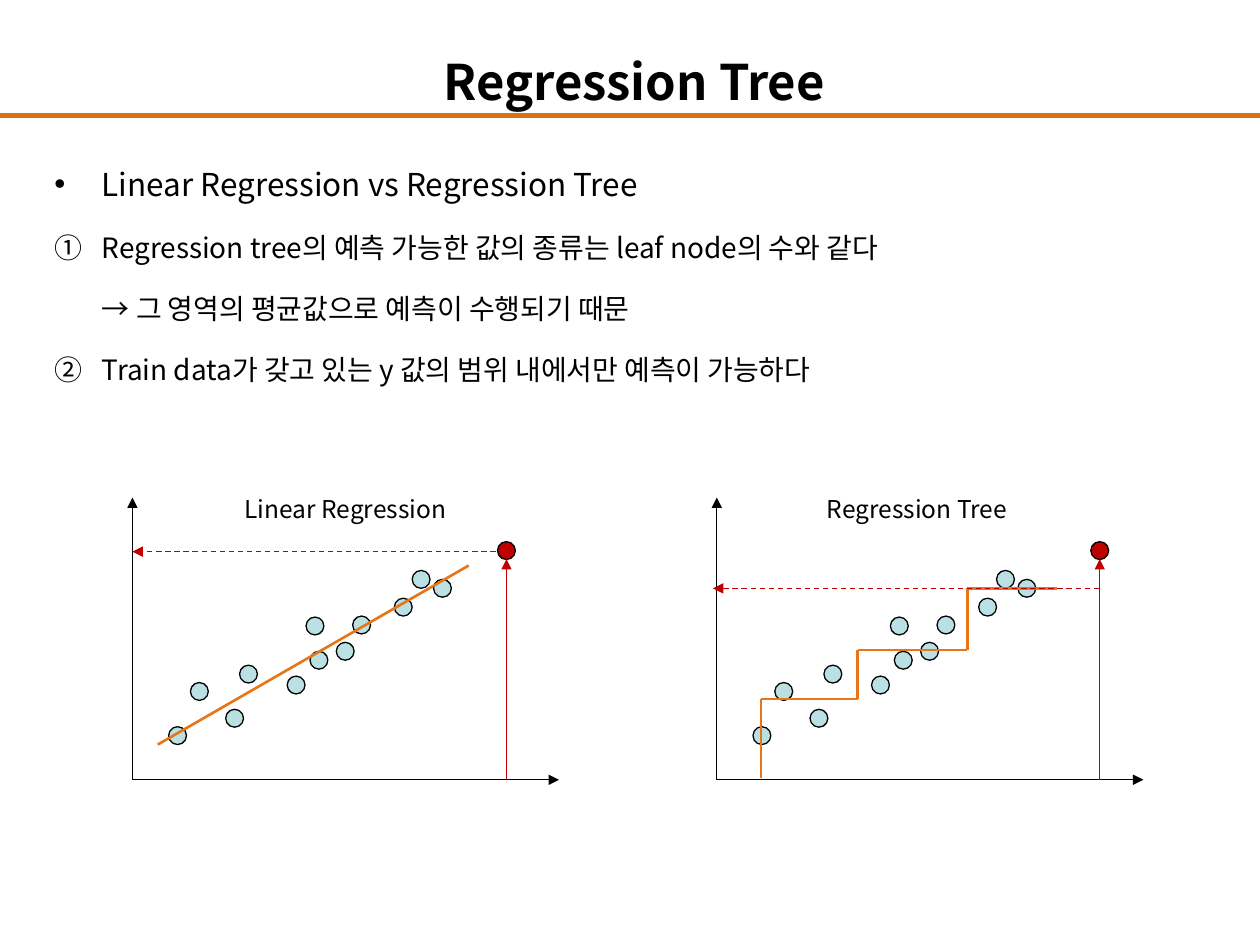
from lxml import etree
from pptx import Presentation
from pptx.dml.color import RGBColor
from pptx.enum.dml import MSO_LINE
from pptx.enum.shapes import MSO_CONNECTOR, MSO_SHAPE
from pptx.enum.text import MSO_ANCHOR, MSO_AUTO_SIZE, PP_ALIGN
from pptx.oxml.ns import qn
from pptx.util import Cm, Pt

STRAIGHT = MSO_CONNECTOR.STRAIGHT
OVAL = MSO_SHAPE.OVAL
DASH = MSO_LINE.DASH
MIDDLE, TOP = MSO_ANCHOR.MIDDLE, MSO_ANCHOR.TOP
CENTER, LEFT = PP_ALIGN.CENTER, PP_ALIGN.LEFT
NO_AUTOFIT = MSO_AUTO_SIZE.NONE

FONT = "Noto Sans CJK KR"
COLORS = {
    "text": "000000",
    "rule": "DC7016",
    "model": "E87618",
    "sample": "BBE0E3",
    "query": "C00000",
}

TITLE = "Regression Tree"
BULLET = ("buChar", {"char": "•"})
NUMBER = ("buAutoNum", {"type": "circleNumDbPlain"})
POINTS = [
    (BULLET, 18, ["Linear Regression vs Regression Tree"]),
    (NUMBER, 16, ["Regression tree의 예측 가능한 값의 종류는 leaf node의 수와 같다",
                  "→ 그 영역의 평균값으로 예측이 수행되기 때문"]),
    (NUMBER, 16, ["Train data가 갖고 있는 y 값의 범위 내에서만 예측이 가능하다"]),
]

SAMPLES = [
    (0.91, 0.89), (2.06, 1.24), (2.34, 2.13), (3.3, 1.91), (3.76, 2.41), (4.29, 2.59),
    (3.68, 3.1), (4.62, 3.12), (5.46, 3.48), (5.82, 4.04), (6.25, 3.86), (1.35, 1.78),
]
PLOTS = [
    {
        "label": "Linear Regression", "label_left": 1.63, "origin": 2.67,
        "model": [(0.51, 0.71), (6.78, 4.32)],
        "query": (7.54, 4.62), "prediction": [(7.32, 4.6), (0, 4.6)],
    },
    {
        "label": "Regression Tree", "label_left": 1.37, "origin": 14.45,
        "model": [(0.89, 0.03), (0.89, 1.63), (2.84, 1.63), (2.84, 2.62),
                  (5.05, 2.62), (5.05, 3.86), (6.86, 3.86)],
        "query": (7.72, 4.62), "prediction": [(7.7, 3.86), (-0.08, 3.86)],
    },
]
BASELINE = 15.72
AXIS_WIDTH, AXIS_HEIGHT = 8.6, 5.69
DOT = 0.36
QUERY_ARROW_TOP = 4.45


def rgb(name):
    return RGBColor.from_string(COLORS[name])


def add_run(para, text, size, bold=False):
    span = para.add_run()
    span.text = text
    span.font.name = FONT
    span.font.size = Pt(size)
    span.font.bold = bold
    span.font.color.rgb = rgb("text")
    etree.SubElement(span.font._element, qn("a:ea"), typeface=FONT)


def place(box, left, top, width, height, anchor):
    box.left, box.top, box.width, box.height = Cm(left), Cm(top), Cm(width), Cm(height)
    frame = box.text_frame
    frame.word_wrap = True
    frame.auto_size = NO_AUTOFIT
    frame.vertical_anchor = anchor
    return frame


def add_line(slide, start, end, color, width=0.75, arrow=False, dash=None):
    line = slide.shapes.add_connector(STRAIGHT, *[Cm(value) for value in (*start, *end)])
    line.line.color.rgb = rgb(color)
    line.line.width = Pt(width)
    if dash:
        line.line.dash_style = dash
    if arrow:
        etree.SubElement(line.line._get_or_add_ln(), qn("a:tailEnd"), type="triangle")
    etree.SubElement(line._element.spPr, qn("a:effectLst"))


def add_dot(slide, center, color):
    x, y = center
    dot = slide.shapes.add_shape(OVAL, Cm(x - DOT / 2), Cm(y - DOT / 2), Cm(DOT), Cm(DOT))
    dot.shadow.inherit = False
    dot.fill.solid()
    dot.fill.fore_color.rgb = rgb(color)
    dot.line.color.rgb = rgb("text")
    dot.line.width = Pt(0.75)


def add_title(slide):
    para = place(slide.shapes.title, 1.09, 0.91, 23.39, 1.45, MIDDLE).paragraphs[0]
    para.alignment = CENTER
    add_run(para, TITLE, 28, bold=True)


def add_points(slide):
    frame = place(slide.placeholders[1], 0.84, 2.72, 23.39, 5.23, TOP)
    for index, ((tag, settings), size, lines) in enumerate(POINTS):
        para = frame.add_paragraph() if index else frame.paragraphs[0]
        para.alignment = LEFT
        para.line_spacing = Pt(35)
        para.space_before = Pt(0)
        properties = para._p.get_or_add_pPr()
        properties.set("marL", str(Cm(0.96)))
        properties.set("indent", str(-Cm(0.96)))
        etree.SubElement(properties, qn("a:" + tag), settings)
        for number, text in enumerate(lines):
            if number:
                para.add_line_break()
            add_run(para, text, size)


def add_plot(slide, plot):
    def at(point):
        return plot["origin"] + point[0], BASELINE - point[1]

    for tip in ((AXIS_WIDTH, 0), (0, AXIS_HEIGHT)):
        add_line(slide, at((0, 0)), at(tip), "text", arrow=True)
    for sample in SAMPLES:
        add_dot(slide, at(sample), "sample")
    for start, end in zip(plot["model"], plot["model"][1:]):
        add_line(slide, at(start), at(end), "model", 1.5)

    box = slide.shapes.add_textbox(0, 0, 0, 0)
    frame = place(box, plot["origin"] + plot["label_left"], 9.83, 5.33, 0.86, MIDDLE)
    frame.paragraphs[0].alignment = CENTER
    add_run(frame.paragraphs[0], plot["label"], 14)

    query_x = plot["query"][0]
    add_dot(slide, at(plot["query"]), "query")
    add_line(slide, at((query_x, 0)), at((query_x, QUERY_ARROW_TOP)), "query", arrow=True)
    start, end = plot["prediction"]
    add_line(slide, at(start), at(end), "query", arrow=True, dash=DASH)


def main():
    deck = Presentation()
    deck.slide_width, deck.slide_height = Cm(25.4), Cm(19.05)
    page = deck.slides.add_slide(deck.slide_layouts[1])
    add_line(page, (0, 2.33), (25.4, 2.33), "rule", 3)
    add_title(page)
    add_points(page)
    for plot in PLOTS:
        add_plot(page, plot)
    deck.save("out.pptx")


if __name__ == "__main__":
    main()
